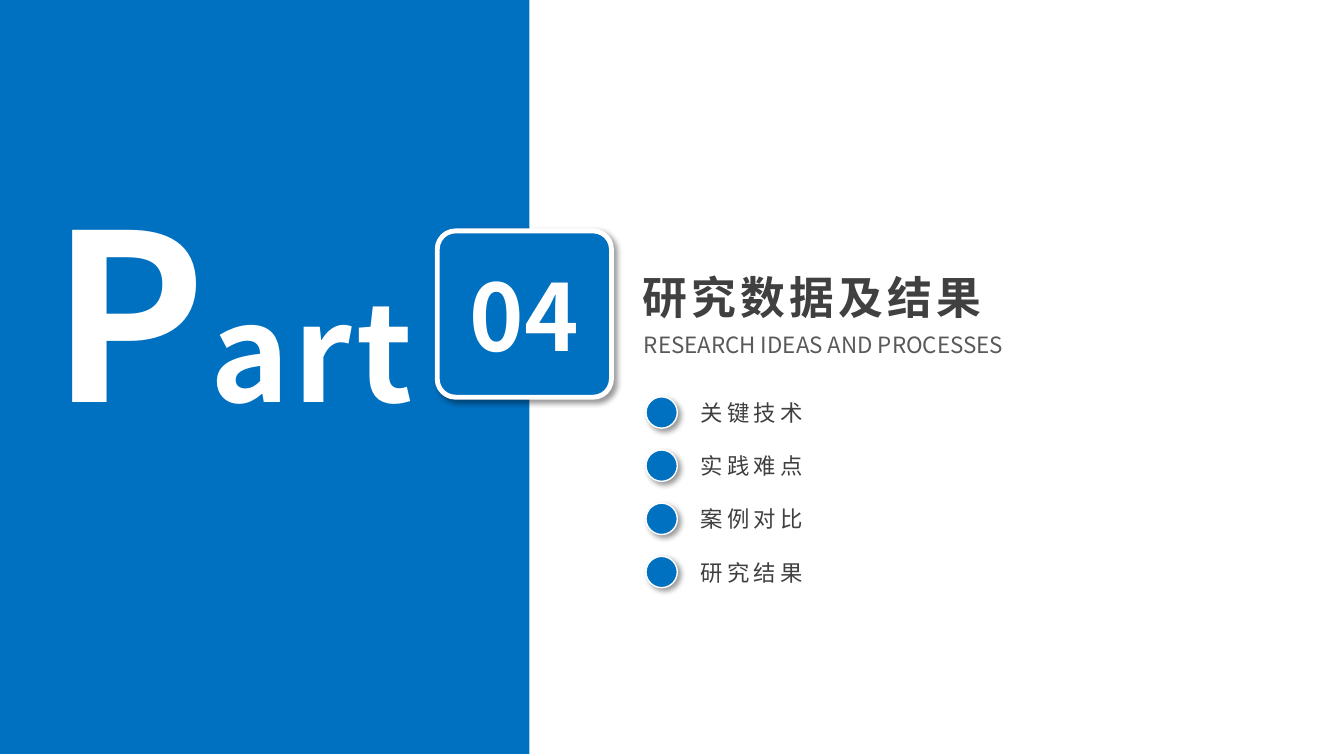
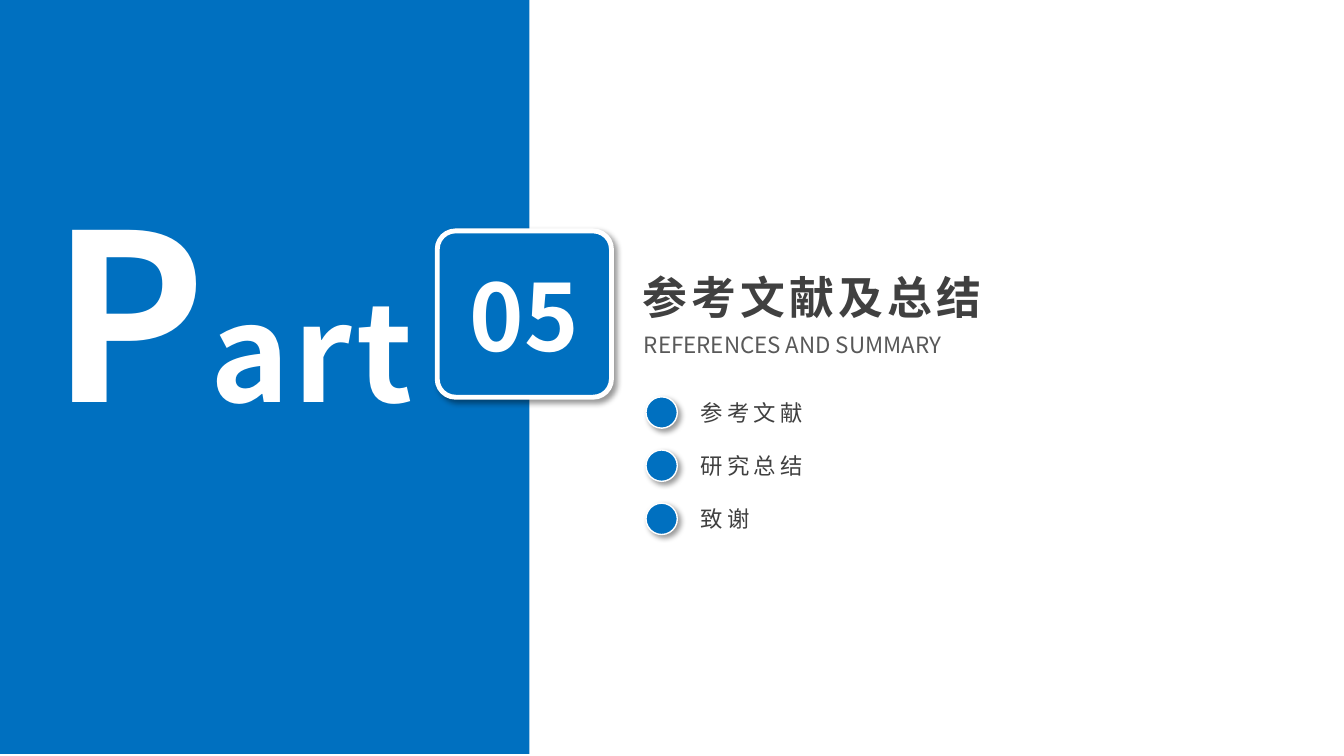
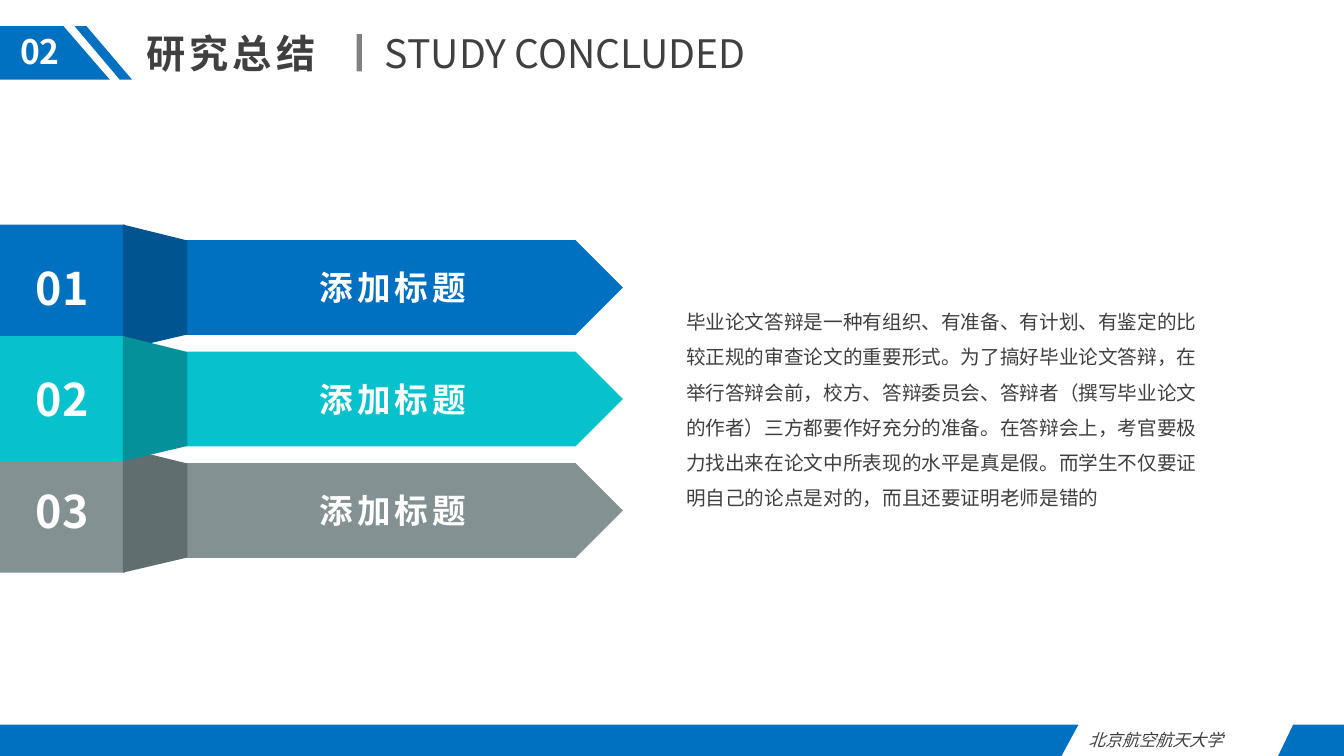
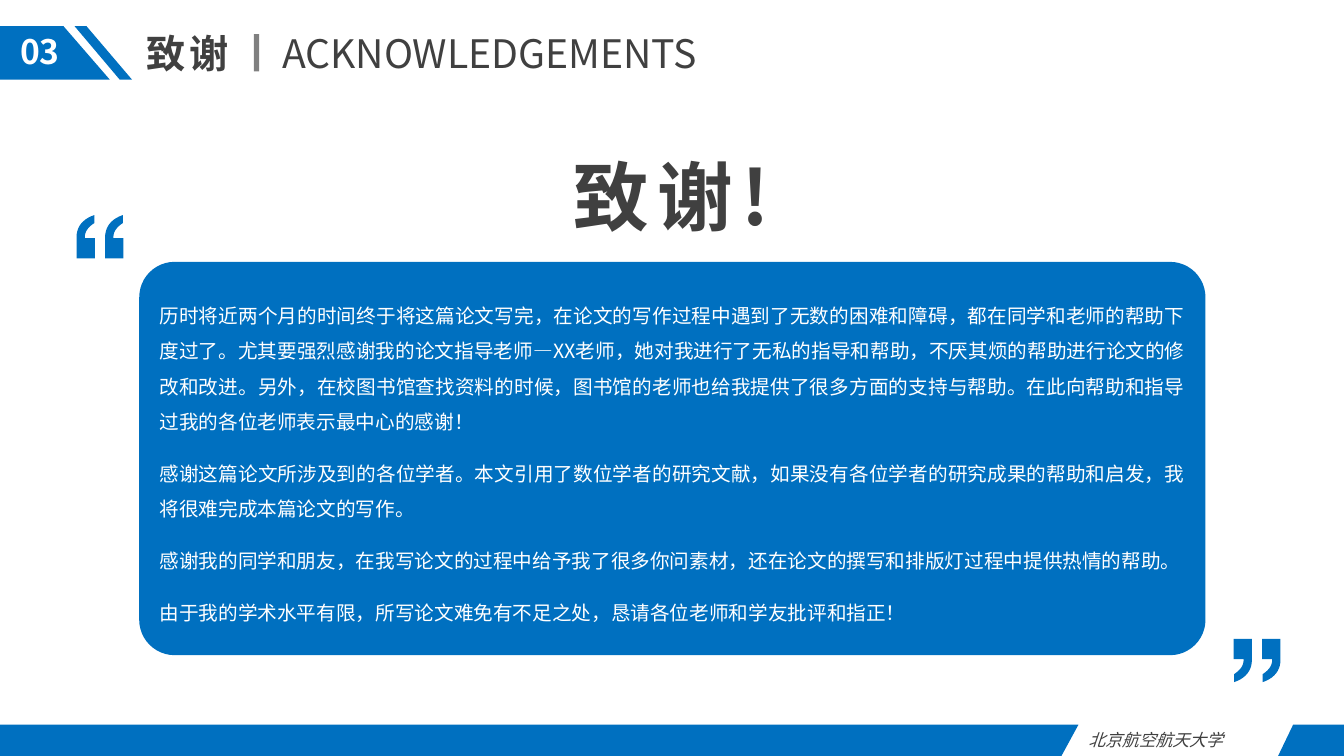
from dataclasses import dataclass

from pptx import Presentation
from pptx.dml.color import RGBColor
from pptx.enum.shapes import MSO_SHAPE
from pptx.enum.text import MSO_ANCHOR, MSO_AUTO_SIZE, PP_ALIGN
from pptx.oxml import parse_xml
from pptx.oxml.ns import nsdecls, qn
from pptx.oxml.xmlchemy import OxmlElement
from pptx.util import Cm, Pt

# Content
SECTIONS = [
    dict(number="04", title="研究数据及结果", subtitle="RESEARCH IDEAS AND PROCESSES",
         topics=["关键技术", "实践难点", "案例对比", "研究结果"]),
    dict(number="05", title="参考文献及总结", subtitle="REFERENCES AND SUMMARY",
         topics=["参考文献", "研究总结", "致谢"]),
]
SUMMARY_HEADER = dict(number="02", title="研究总结", english="STUDY CONCLUDED",
                      title_width=4.98, bar_left=8.99)
SUMMARY_BANDS = [  # number, label, face colour, fold colour
    ("01", "添加标题", "0070C0", "005490"),
    ("02", "添加标题", "07C1CC", "059199"),
    ("03", "添加标题", "839192", "616E6F"),
]
BAND_DRAWING_ORDER = (0, 2, 1)  # the middle band lies on top
SUMMARY_TEXT = (
    "毕业论文答辩是一种有组织、有准备、有计划、有鉴定的比较正规的审查论文的重要形式。"
    "为了搞好毕业论文答辩，在举行答辩会前，校方、答辩委员会、答辩者（撰写毕业论文的作者）"
    "三方都要作好充分的准备。在答辩会上，考官要极力找出来在论文中所表现的水平是真是假。"
    "而学生不仅要证明自己的论点是对的，而且还要证明老师是错的")
THANKS_HEADER = dict(number="03", title="致谢", english="ACKNOWLEDGEMENTS",
                     title_width=2.79, bar_left=6.4)
THANKS_HEADING = "致谢!"
THANKS_TEXT = [
    "历时将近两个月的时间终于将这篇论文写完，在论文的写作过程中遇到了无数的困难和障碍，"
    "都在同学和老师的帮助下度过了。尤其要强烈感谢我的论文指导老师—XX老师，"
    "她对我进行了无私的指导和帮助，不厌其烦的帮助进行论文的修改和改进。"
    "另外，在校图书馆查找资料的时候，图书馆的老师也给我提供了很多方面的支持与帮助。"
    "在此向帮助和指导过我的各位老师表示最中心的感谢！",
    "感谢这篇论文所涉及到的各位学者。本文引用了数位学者的研究文献，"
    "如果没有各位学者的研究成果的帮助和启发，我将很难完成本篇论文的写作。",
    "感谢我的同学和朋友，在我写论文的过程中给予我了很多你问素材，"
    "还在论文的撰写和排版灯过程中提供热情的帮助。",
    "由于我的学术水平有限，所写论文难免有不足之处，恳请各位老师和学友批评和指正！",
]
SCHOOL = "北京航空航天大学"


@dataclass(frozen=True)
class Theme:
    font: str = "Noto Sans CJK SC"
    body_font: str = "Arial"
    blue: str = "0070C0"
    white: str = "FFFFFF"
    dark: str = "404040"
    medium: str = "595959"
    bar: str = "808080"
    initial: int = 166
    letters: int = 96
    badge: int = 66
    thanks: int = 54
    section: int = 32
    header: int = 28
    label: int = 24
    topic: int = 16
    body: int = 14
    footer: int = 12


THEME = Theme()
SLIDE_WIDTH, SLIDE_HEIGHT = 33.87, 19.05
TITLE_AND_BODY, TITLE_ONLY = 1, 5


# Text
def write(box, text, size=THEME.body, color=THEME.dark, font=THEME.font, bold=False,
          italic=False, spacing=0, align=PP_ALIGN.LEFT, anchor=MSO_ANCHOR.TOP,
          line_spacing=None, before=0, after=0):
    """Fill a shape; text is a string, a list of paragraphs, or paragraphs of (text, size)."""
    frame = box.text_frame
    frame.word_wrap = True
    frame.auto_size = MSO_AUTO_SIZE.NONE
    frame.vertical_anchor = anchor
    paragraphs = [text] if isinstance(text, str) else text
    for index, content in enumerate(paragraphs):
        para = frame.add_paragraph() if index else frame.paragraphs[0]
        para.alignment = align
        para.space_before, para.space_after = Pt(before), Pt(after)
        if line_spacing:
            para.line_spacing = line_spacing
        for words, points in [(content, size)] if isinstance(content, str) else content:
            span = para.add_run()
            span.text = words
            span.font.size = Pt(points)
            span.font.bold, span.font.italic = bold, italic
            span.font.color.rgb = RGBColor.from_string(color)
            span.font.name = font
            properties = span.font._element
            properties.set("spc", str(spacing * 100))
            east_asian = OxmlElement("a:ea")
            east_asian.set("typeface", THEME.font)
            properties.find(qn("a:latin")).addnext(east_asian)
    return box


def place(box, left, top, width, height):
    box.left, box.top, box.width, box.height = Cm(left), Cm(top), Cm(width), Cm(height)
    return box


def add_text(page, area, text, **style):
    return write(page.shapes.add_textbox(*map(Cm, area)), text, **style)


# Shapes
def paint(shape, fill, line=None, shadow=False):
    shape.shadow.inherit = False
    shape.fill.solid()
    shape.fill.fore_color.rgb = RGBColor.from_string(fill)
    if line:
        shape.line.color.rgb = RGBColor.from_string(THEME.white)
        shape.line.width = Pt(line)
    else:
        shape.line.fill.background()
    if shadow:
        effects = shape._element.spPr.find(qn("a:effectLst"))
        effects.append(parse_xml(
            f'<a:outerShdw {nsdecls("a")} blurRad="{Pt(4)}" dist="{Pt(3)}" dir="2700000" '
            'algn="tl" rotWithShape="0"><a:srgbClr val="000000"><a:alpha val="40000"/>'
            '</a:srgbClr></a:outerShdw>'))
    return shape


def add_shape(page, kind, area, fill, corner=None, **look):
    shape = page.shapes.add_shape(kind, *map(Cm, area))
    if corner:
        shape.adjustments[0] = corner
    return paint(shape, fill, **look)


def add_outline(page, contours, fill):
    builder = None
    for contour in contours:
        points = [(Cm(x), Cm(y)) for x, y in contour]
        if builder is None:
            builder = page.shapes.build_freeform(*points[0], scale=1.0)
        else:
            builder.move_to(*points[0])
        builder.add_line_segments(points[1:], close=True)
    return paint(builder.convert_to_shape(), fill)


def curve(start, first, second, end, steps=10):
    """Points of a cubic curve."""
    result = []
    for step in range(steps + 1):
        t = step / steps
        weights = ((1 - t) ** 3, 3 * t * (1 - t) ** 2, 3 * t * t * (1 - t), t ** 3)
        result.append(tuple(sum(w * p[axis] for w, p in zip(weights, (start, first, second, end)))
                            for axis in (0, 1)))
    return result


def add_quote(page, left, top, closing=False):
    width, height, pitch = 1.18, 1.09, 0.72
    mark = (curve((0.45, 0.2), (0.28, 0.31), (0.2, 0.43), (0.21, 0.58))
            + [(0.46, 0.58), (0.46, height), (0, height)]
            + curve((0, 0.56), (0, 0.3), (0.15, 0.1), (0.45, 0)))
    contours = [[(x + shift, y) for x, y in mark] for shift in (0, pitch)]
    if closing:
        contours = [[(width - x, height - y) for x, y in contour] for contour in contours]
    add_outline(page, [[(left + x, top + y) for x, y in contour] for contour in contours],
                THEME.blue)


# Parts the content pages share
def add_header(page, number, title, english, title_width, bar_left):
    top, bottom = 0.66, 2.01
    write(place(page.shapes.title, 3.43, 0.61, title_width, 1.45), title,
          size=THEME.header, bold=True, spacing=3)
    add_shape(page, MSO_SHAPE.RECTANGLE, (bar_left, 0.86, 0.13, 0.94), THEME.bar)
    add_text(page, (bar_left + 0.46, 0.61, 11.73, 1.45), english, size=THEME.header)
    add_outline(page, [[(0, top), (1.6, top), (2.77, bottom), (0, bottom)]], THEME.blue)
    add_outline(page, [[(2.18, top), (3.33, bottom), (3.02, bottom), (1.88, top)]], THEME.blue)
    add_text(page, (0, top, 2.01, 1.27), number, size=THEME.label, color=THEME.white,
             bold=True, align=PP_ALIGN.CENTER)


def add_footer(page):
    top, bottom = 18.26, SLIDE_HEIGHT
    add_outline(page, [[(0, top), (27.18, top), (26.75, bottom), (0, bottom)]], THEME.blue)
    add_outline(page, [[(32.59, top), (SLIDE_WIDTH, top), (SLIDE_WIDTH, bottom),
                        (32.21, bottom)]], THEME.blue)
    add_text(page, (27.18, top, 5.03, 0.76), SCHOOL, size=THEME.footer, italic=True,
             align=PP_ALIGN.JUSTIFY)


def add_content_page(deck, header):
    page = deck.slides.add_slide(deck.slide_layouts[TITLE_ONLY])
    add_header(page, **header)
    add_footer(page)
    return page


# Pages
def add_section(deck, number, title, subtitle, topics):
    page = deck.slides.add_slide(deck.slide_layouts[TITLE_AND_BODY])
    add_shape(page, MSO_SHAPE.RECTANGLE, (0, 0, 13.34, 19), THEME.blue)
    add_text(page, (0, 4.17, 11.71, 7.34), [[("P", THEME.initial), ("art", THEME.letters)]],
             color=THEME.white, bold=True, spacing=3, align=PP_ALIGN.CENTER)
    badge = add_shape(page, MSO_SHAPE.ROUNDED_RECTANGLE, (11.02, 5.82, 4.39, 4.19),
                      THEME.blue, corner=0.11, line=3.5, shadow=True)
    write(badge, number, size=THEME.badge, color=THEME.white, bold=True,
          align=PP_ALIGN.CENTER, anchor=MSO_ANCHOR.MIDDLE)
    write(place(page.shapes.title, 15.93, 6.68, 9.63, 1.63), title,
          size=THEME.section, bold=True, spacing=3)
    add_text(page, (15.98, 8.23, 11.63, 0.94), subtitle, size=THEME.topic, color=THEME.medium)

    # Topic list with one dot per line
    pitch, line_height = 1.34, 1.2 * THEME.topic
    body = place(page.placeholders[1], 17.4, 9.93, 4.55, pitch * len(topics))
    write(body, topics, size=THEME.topic, spacing=3, after=round(Cm(pitch).pt - line_height, 1))
    for row, para in enumerate(body.text_frame.paragraphs):
        properties = para._p.get_or_add_pPr()
        properties.set("marL", "0")
        properties.set("indent", "0")
        properties.append(OxmlElement("a:buNone"))
        add_shape(page, MSO_SHAPE.OVAL, (16.28, 10 + row * pitch, 0.79, 0.79),
                  THEME.blue, line=1, shadow=True)


def add_summary(deck):
    page = add_content_page(deck, SUMMARY_HEADER)
    first_top, pitch, tab = 5.66, 2.81, 3.15
    centred = dict(color=THEME.white, bold=True, align=PP_ALIGN.CENTER,
                   anchor=MSO_ANCHOR.MIDDLE)
    for index in BAND_DRAWING_ORDER:
        number, label, face, fold = SUMMARY_BANDS[index]
        top = first_top + index * pitch
        plate = add_shape(page, MSO_SHAPE.PENTAGON, (4.7, top + 0.39, 11, 2.39), face)
        write(plate, label, size=THEME.label, spacing=3, **centred)
        square = add_shape(page, MSO_SHAPE.RECTANGLE, (0, top, tab, tab), face)
        write(square, number, size=THEME.section, **centred)
        add_outline(page, [[(3.1, top), (4.72, top + 0.4), (4.72, top + 2.77),
                            (3.1, top + tab)]], fold)
    add_text(page, (17.04, 7.39, 13.44, 5.64), SUMMARY_TEXT, font=THEME.body_font,
             line_spacing=1.5)


def add_thanks(deck):
    page = add_content_page(deck, THANKS_HEADER)
    add_quote(page, 1.93, 5.42)
    add_quote(page, 31.09, 16.1, closing=True)
    panel = add_shape(page, MSO_SHAPE.ROUNDED_RECTANGLE, (3.51, 6.6, 26.87, 9.91),
                      THEME.blue, corner=0.09)
    write(panel, THANKS_TEXT, color=THEME.white, align=PP_ALIGN.JUSTIFY,
          anchor=MSO_ANCHOR.MIDDLE, line_spacing=1.5, before=6, after=6)
    add_text(page, (14.2, 3.66, 5.49, 2.57), THANKS_HEADING, size=THEME.thanks, bold=True,
             spacing=6)


def main():
    deck = Presentation()
    deck.slide_width, deck.slide_height = Cm(SLIDE_WIDTH), Cm(SLIDE_HEIGHT)
    for section in SECTIONS:
        add_section(deck, **section)
    add_summary(deck)
    add_thanks(deck)
    deck.save("out.pptx")


if __name__ == "__main__":
    main()
